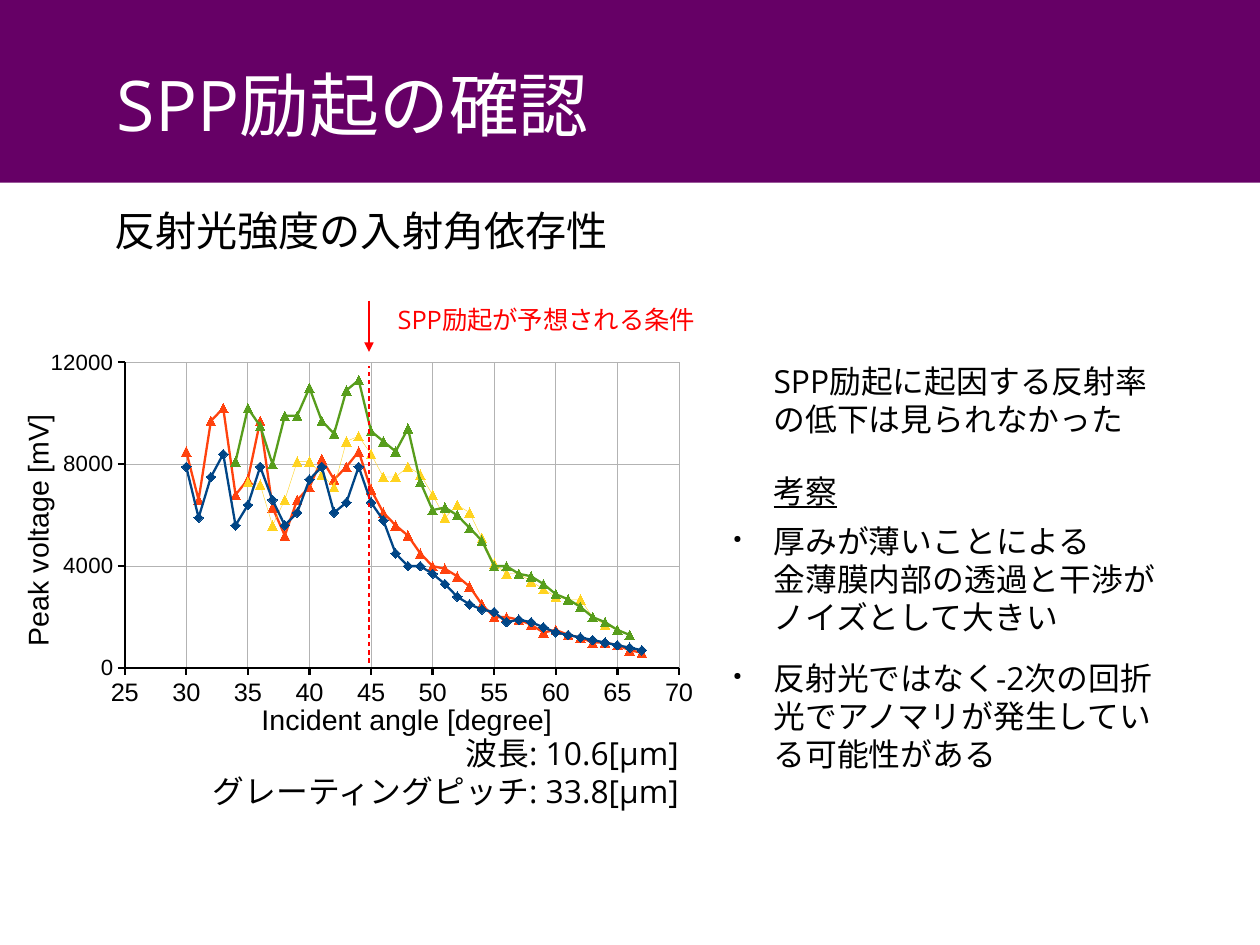
from lxml.etree import SubElement
from pptx import Presentation
from pptx.chart.data import XyChartData
from pptx.dml.color import RGBColor
from pptx.enum.chart import XL_CHART_TYPE, XL_MARKER_STYLE, XL_TICK_MARK
from pptx.enum.dml import MSO_LINE
from pptx.enum.lang import MSO_LANGUAGE_ID
from pptx.enum.shapes import MSO_CONNECTOR, MSO_SHAPE
from pptx.enum.text import MSO_ANCHOR, PP_ALIGN
from pptx.oxml import parse_xml
from pptx.oxml.ns import nsdecls, qn
from pptx.util import Cm, Pt

FONT = "Open Sans"
BLACK, WHITE, RED, PURPLE, GREY = "000000", "FFFFFF", "FF0000", "660066", "B3B3B3"

# Highest angle, colour, line width, marker, voltages at falling whole degrees
CURVES = [
    (67, "004586", 1.45, XL_MARKER_STYLE.DIAMOND,
     [700, 800, 900, 1000, 1100, 1200, 1300, 1400, 1600, 1800, 1900, 1800, 2200,
      2300, 2500, 2800, 3300, 3700, 4000, 4000, 4500, 5800, 6500, 7900, 6500,
      6100, 7900, 7400, 6100, 5600, 6600, 7900, 6400, 5600, 8400, 7500, 5900, 7900]),
    (66, "579D1C", 1.45, XL_MARKER_STYLE.TRIANGLE,
     [1300, 1500, 1800, 2000, 2400, 2700, 2900, 3300, 3600, 3700, 4000, 4000, 5000,
      5500, 6000, 6300, 6200, 7300, 9400, 8500, 8900, 9300, 11300, 10900, 9200,
      9700, 11000, 9900, 9900, 8000, 9500, 10200, 8100]),
    (65, "FFD320", 0.25, XL_MARKER_STYLE.TRIANGLE,
     [1500, 1700, 2000, 2700, 2700, 2800, 3100, 3400, 3700, 3700, 4100, 5100, 6100,
      6400, 5900, 6800, 7600, 7900, 7500, 7500, 8400, 9100, 8900, 7100, 7600,
      8100, 8100, 6600, 5600, 7200, 7300]),
    (67, "FF420E", 1.45, XL_MARKER_STYLE.TRIANGLE,
     [600, 700, 900, 1000, 1000, 1200, 1300, 1500, 1400, 1700, 1900, 2000, 2000,
      2500, 3200, 3600, 3900, 4000, 4500, 5200, 5600, 6100, 7000, 8500, 7900,
      7400, 8200, 7100, 6600, 5200, 6300, 9700, 7400, 6800, 10200, 9700, 6600, 8500]),
]


def paint(target, color):
    """Give a fill or a line format one solid colour."""
    fill = getattr(target, "fill", target)
    fill.solid()
    fill.fore_color.rgb = RGBColor.from_string(color)


def add_box(slide, left, top, width, height, anchor=MSO_ANCHOR.TOP):
    box = slide.shapes.add_textbox(Cm(left), Cm(top), Cm(width), Cm(height))
    frame = box.text_frame
    frame.word_wrap = True
    frame.vertical_anchor = anchor
    frame.margin_left = frame.margin_right = 0
    frame.margin_top = frame.margin_bottom = 0
    return frame


def add_para(frame, text, size, color=BLACK, align=PP_ALIGN.LEFT, after=0):
    """Fill the empty first paragraph or append one; a newline breaks the line."""
    para = frame.paragraphs[0]
    if para.runs:
        para = frame.add_paragraph()
    para.alignment = align
    para.line_spacing = Pt(size * 1.2)
    para.space_after = Pt(after)
    for index, line in enumerate(text.split("\n")):
        if index:
            para.add_line_break()
        run = para.add_run()
        run.text = line
        font = run.font
        font.size = Pt(size)
        font.language_id = MSO_LANGUAGE_ID.JAPANESE
        paint(font, color)
        font.name = FONT
        SubElement(font._element, qn("a:ea"), typeface=FONT)
    return para


def indent(para, bullet=False):
    props = para._p.get_or_add_pPr()
    props.set("marL", str(Cm(1.19)))
    props.set("indent", str(Cm(-0.89) if bullet else 0))
    if bullet:
        tint = SubElement(props, qn("a:buClr"))
        SubElement(tint, qn("a:srgbClr"), val=BLACK)
        SubElement(props, qn("a:buSzPct"), val="33000")
        SubElement(props, qn("a:buChar"), char="●")


def add_line(slide, x, start, end, width, arrow=False):
    """Draw a red upright line, solid with an arrowhead or else dashed."""
    link = slide.shapes.add_connector(
        MSO_CONNECTOR.STRAIGHT, Cm(x), Cm(start), Cm(x), Cm(end))
    paint(link.line, RED)
    link.line.width = Pt(width)
    if arrow:
        SubElement(link.line._get_or_add_ln(), qn("a:tailEnd"), type="triangle")
    else:
        link.line.dash_style = MSO_LINE.DASH
    SubElement(link._element.spPr, qn("a:effectLst"))


def place(part, index, **spots):
    """Give a chart part a fixed layout, in fractions of the chart."""
    for old in part.findall(qn("c:layout")):
        part.remove(old)
    target = '<c:layoutTarget val="inner"/>' if "w" in spots else ""
    sizes = "".join(f'<c:{key} val="{val}"/>' for key, val in spots.items())
    part.insert(index, parse_xml(
        f'<c:layout {nsdecls("c")}><c:manualLayout>{target}'
        f'<c:xMode val="edge"/><c:yMode val="edge"/>{sizes}'
        '</c:manualLayout></c:layout>'))


def set_font(font, size):
    font.name = "Arial"
    font.size = Pt(size)
    font.bold = False
    paint(font, BLACK)


def style_axis(axis, title, size, low, high, step, x, y):
    axis.minimum_scale, axis.maximum_scale, axis.major_unit = low, high, step
    axis.major_tick_mark = XL_TICK_MARK.OUTSIDE
    axis.minor_tick_mark = XL_TICK_MARK.NONE
    axis.tick_labels.number_format = "General"
    axis.tick_labels.number_format_is_linked = False
    set_font(axis.tick_labels.font, size)
    paint(axis.format.line, BLACK)
    axis.format.line.width = Pt(1.45)
    axis.has_major_gridlines = True
    grid = axis.major_gridlines.format.line
    paint(grid, GREY)
    grid.width = Pt(0.5)
    run = axis.axis_title.text_frame.paragraphs[0].add_run()
    run.text = title
    set_font(run.font, 18)
    place(axis.axis_title._element, 1, x=x, y=y)


def add_plot(slide):
    data = XyChartData()
    for number, (top, _, _, _, volts) in enumerate(CURVES, 1):
        series = data.add_series(f"Series {number}")
        for step, volt in enumerate(volts):
            series.add_data_point(top - step, volt)
    chart = slide.shapes.add_chart(
        XL_CHART_TYPE.XY_SCATTER_LINES, Cm(0), Cm(7.7), Cm(15.4), Cm(8.86), data).chart
    chart.has_legend = chart.has_title = False
    set_font(chart.font, 10)
    chart.plots[0].vary_by_categories = False
    style_axis(chart.category_axis, "Incident angle [degree]", 16, 25, 70, 5, 0.37, 0.88)
    style_axis(chart.value_axis, "Peak voltage [mV]", 14, 0, 12000, 4000, 0.02, 0.16)
    turn = chart.value_axis.axis_title._element.find(".//" + qn("a:bodyPr"))
    turn.set("rot", "-5400000")
    turn.set("vert", "horz")
    place(chart._chartSpace.find(".//" + qn("c:plotArea")), 0, x=0.18, y=0.04, w=0.8, h=0.77)
    for series, (_, color, width, mark, _) in zip(chart.plots[0].series, CURVES):
        series.smooth = False
        paint(series.format.line, color)
        series.format.line.width = Pt(width)
        series.marker.style = mark
        series.marker.size = 6
        paint(series.marker.format, color)
        paint(series.marker.format.line, color)


def add_notes(slide):
    frame = add_box(slide, 16, 8.03, 9.75, 12)
    indent(add_para(frame, "SPP励起に起因する反射率の低下は見られなかった", 20, after=21.6))
    head = add_para(frame, "考察", 20, after=7.2)
    head.runs[0].font.underline = True
    indent(head)
    for text in ("厚みが薄いことによる\n金薄膜内部の透過と干渉がノイズとして大きい",
                 "反射光ではなく-2次の回折光でアノマリが発生している可能性がある"):
        indent(add_para(frame, text, 20, after=14.2), bullet=True)


def main():
    deck = Presentation()
    deck.slide_width, deck.slide_height = Cm(28), Cm(21)
    slide = deck.slides.add_slide(deck.slide_layouts[6])
    band = slide.shapes.add_shape(MSO_SHAPE.RECTANGLE, 0, 0, Cm(28), Cm(4.06))
    band.shadow.inherit = False
    paint(band, PURPLE)
    band.line.fill.background()
    add_para(add_box(slide, 2.6, 0.56, 25.2, 3.5, MSO_ANCHOR.MIDDLE),
             "SPP励起の確認", 44, WHITE)
    add_notes(slide)
    add_plot(slide)
    add_para(add_box(slide, 2.41, 4.57, 11.23, 1.5),
             "反射光強度の入射角依存性", 25.9, align=PP_ALIGN.CENTER)
    facts = add_box(slide, 3.07, 16.3, 12.02, 3)
    for text in ("波長: 10.6[μm]", "グレーティングピッチ: 33.8[μm]"):
        add_para(facts, text, 20, align=PP_ALIGN.RIGHT)
    add_line(slide, 8.2, 6.68, 7.82, 1.45, arrow=True)
    add_para(add_box(slide, 6.53, 6.77, 11.23, 1),
             "SPP励起が予想される条件", 16, RED, PP_ALIGN.CENTER)
    add_line(slide, 8.2, 14.73, 8.13, 0.75)
    deck.save("out.pptx")


if __name__ == "__main__":
    main()
